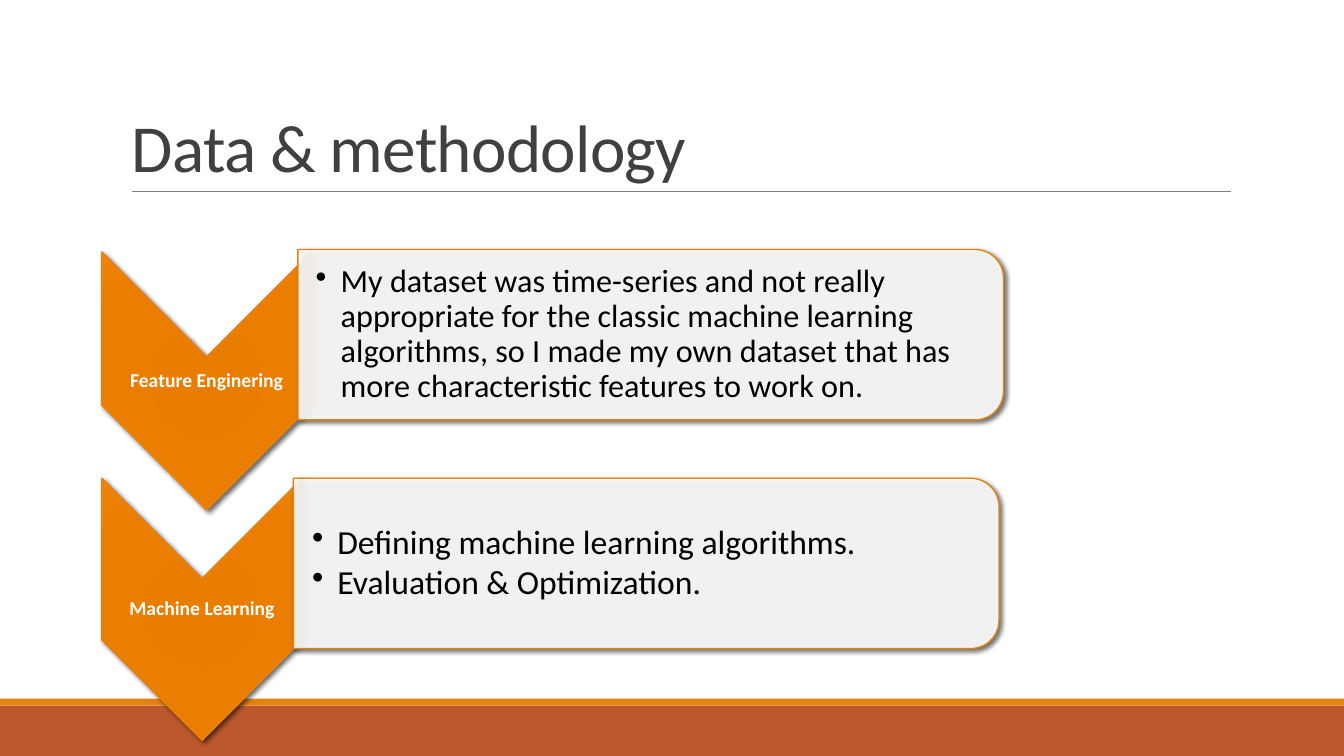
"""Build the data and methodology slide with two chevron steps."""
from dataclasses import dataclass

from pptx import Presentation
from pptx.dml.color import RGBColor
from pptx.enum.shapes import MSO_CONNECTOR, MSO_SHAPE as SHAPE
from pptx.enum.text import MSO_ANCHOR as ANCHOR, MSO_AUTO_SIZE, PP_ALIGN as ALIGN
from pptx.oxml import parse_xml
from pptx.oxml.ns import nsdecls, qn
from pptx.oxml.xmlchemy import OxmlElement
from pptx.util import Pt

RUST = RGBColor(0xBD, 0x58, 0x2C)
ORANGE = RGBColor(0xE4, 0x83, 0x12)
GREY = RGBColor(0x80, 0x80, 0x80)
CHARCOAL = RGBColor(0x40, 0x40, 0x40)
WHITE = RGBColor(0xFF, 0xFF, 0xFF)
BLACK = RGBColor(0x00, 0x00, 0x00)
GLOW = {0: "E57B00", 34: "E87D00", 70: "EB7E00", 100: "EF8407"}
FONT = "Calibri"
CARD_WIDTH, CARD_HEIGHT = 504, 121.7
BODY_WIDTH, BODY_HEIGHT = 498, 109.4
LABEL_HEIGHT = 40


@dataclass(frozen=True)
class Frame:
    left: float
    top: float
    width: float
    height: float

    def band(self, height: float, width: float | None = None) -> "Frame":
        """Return a frame of the given height, vertically centred in this one."""
        top = self.top + (self.height - height) / 2
        return Frame(self.left, top, width or self.width, height)


@dataclass(frozen=True)
class Step:
    label: str
    points: list[str]
    size: float
    indent: float
    chevron: Frame
    card: Frame


STEPS = [
    Step("Feature Enginering",
         ["My dataset was time-series and not really appropriate for the classic "
          "machine learning algorithms, so I made my own dataset that has more "
          "characteristic features to work on."],
         23, 12.6, Frame(72.7, 180, 149.8, 184.3),
         Frame(212.8, 178.2, CARD_WIDTH, CARD_HEIGHT)),
    Step("Machine Learning",
         ["Defining machine learning algorithms.", "Evaluation & Optimization."],
         24, 13.4, Frame(72.7, 341.6, 143.3, 187.2),
         Frame(209.6, 341.6, CARD_WIDTH, CARD_HEIGHT)),
]


def add_bar(page, frame: Frame, color: RGBColor) -> None:
    """Draw a plain filled rectangle."""
    bar = page.shapes.add_shape(SHAPE.RECTANGLE, Pt(frame.left), Pt(frame.top),
                                Pt(frame.width), Pt(frame.height))
    bar.shadow.inherit = False
    bar.fill.solid()
    bar.fill.fore_color.rgb = color
    bar.line.fill.background()


def add_turned(page, kind: SHAPE, frame: Frame, blur: float):
    """Draw a shadowed shape, turned a quarter, that covers the frame."""
    left = frame.left + (frame.width - frame.height) / 2
    top = frame.top + (frame.height - frame.width) / 2
    shape = page.shapes.add_shape(kind, Pt(left), Pt(top),
                                  Pt(frame.height), Pt(frame.width))
    shape.rotation = 90
    shape.line.color.rgb = ORANGE
    shape.line.width = Pt(1)
    shape.shadow.inherit = False
    shape._element.spPr.find(qn("a:effectLst")).append(parse_xml(
        f'<a:outerShdw {nsdecls("a")} blurRad="{Pt(blur)}" dist="{Pt(2)}" '
        'dir="2700000" algn="br" rotWithShape="0"><a:srgbClr val="000000">'
        '<a:alpha val="60000"/></a:srgbClr></a:outerShdw>'))
    return shape


def add_chevron(page, frame: Frame) -> None:
    """Draw a downward chevron with a radial orange fill."""
    chevron = add_turned(page, SHAPE.CHEVRON, frame, 3.5)
    stops = "".join(f'<a:gs pos="{place * 1000}"><a:srgbClr val="{color}"/></a:gs>'
                    for place, color in GLOW.items())
    chevron._element.spPr.find(qn("a:prstGeom")).addnext(parse_xml(
        f'<a:gradFill {nsdecls("a")} rotWithShape="1"><a:gsLst>{stops}</a:gsLst>'
        '<a:path path="circle"><a:fillToRect l="100000" t="100000" r="100000" '
        'b="100000"/></a:path></a:gradFill>'))


def add_card(page, frame: Frame) -> None:
    """Draw a slightly transparent white card rounded on its right side."""
    card = add_turned(page, SHAPE.ROUND_2_SAME_RECTANGLE, frame, 3)
    card.fill.solid()
    card.fill.fore_color.rgb = WHITE
    alpha = OxmlElement("a:alpha")
    alpha.set("val", "90000")
    card._element.spPr.find(qn("a:solidFill"))[0].append(alpha)


def add_text(page, frame: Frame, lines: list[str], *, size: float, color: RGBColor,
             bold: bool = False, align: ALIGN = ALIGN.LEFT, bullet: bool = False,
             inset: float = 1, indent: float = 1) -> None:
    """Place vertically centred paragraphs in a text box."""
    box = page.shapes.add_textbox(Pt(frame.left), Pt(frame.top),
                                  Pt(frame.width), Pt(frame.height)).text_frame
    box.word_wrap = True
    box.vertical_anchor = ANCHOR.MIDDLE
    box.margin_left = Pt(indent)
    box.margin_top = box.margin_right = box.margin_bottom = Pt(inset)
    for index, line in enumerate(lines):
        para = box.paragraphs[0] if index == 0 else box.add_paragraph()
        if bullet:
            props = para._p.get_or_add_pPr()
            props.set("marL", str(Pt(18)))
            props.set("indent", str(-Pt(18)))
            mark = OxmlElement("a:buChar")
            mark.set("char", "•")
            props.append(mark)
            para.level = 1
        para.alignment = align
        para.line_spacing = 0.9
        if index:
            para.space_before = Pt(3)
        span = para.add_run()
        span.text = line
        span.font.name = FONT
        span.font.size = Pt(size)
        span.font.bold = bold
        span.font.color.rgb = color


def add_title(page, text: str) -> None:
    """Move and format the title placeholder and rule a line below it."""
    title = page.shapes.title
    title.left, title.top, title.width, title.height = Pt(87), Pt(22.5), Pt(792), Pt(114.2)
    box = title.text_frame
    box.auto_size = MSO_AUTO_SIZE.NONE
    box.word_wrap = True
    box.vertical_anchor = ANCHOR.BOTTOM
    para = box.paragraphs[0]
    para.alignment = ALIGN.LEFT
    para.line_spacing = 0.85
    span = para.add_run()
    span.text = text
    span.font.name = FONT
    span.font.size = Pt(48)
    span.font.color.rgb = CHARCOAL
    span._r.get_or_add_rPr().set("spc", "-50")
    rule = page.shapes.add_connector(MSO_CONNECTOR.STRAIGHT, Pt(94.3), Pt(136.8),
                                     Pt(879), Pt(136.8))
    rule.line.color.rgb = GREY
    rule.line.width = Pt(0.5)
    rule._element.spPr.append(OxmlElement("a:effectLst"))


def add_step(page, step: Step) -> None:
    """Draw one chevron with its label and its card of points."""
    add_chevron(page, step.chevron)
    add_text(page, step.chevron.band(LABEL_HEIGHT), [step.label],
             size=14, color=WHITE, bold=True, align=ALIGN.CENTER)
    add_card(page, step.card)
    add_text(page, step.card.band(BODY_HEIGHT, BODY_WIDTH), step.points,
             size=step.size, color=BLACK, bullet=True, inset=1.5, indent=step.indent)


def main() -> None:
    """Build and save the deck."""
    deck = Presentation()
    deck.slide_width, deck.slide_height = Pt(960), Pt(540)
    page = deck.slides.add_slide(deck.slide_layouts[5])
    add_bar(page, Frame(0, 504, 960, 36), RUST)
    add_bar(page, Frame(0, 499, 960, 5), ORANGE)
    add_title(page, "Data & methodology")
    for step in STEPS:
        add_step(page, step)
    deck.save("out.pptx")


if __name__ == "__main__":
    main()
